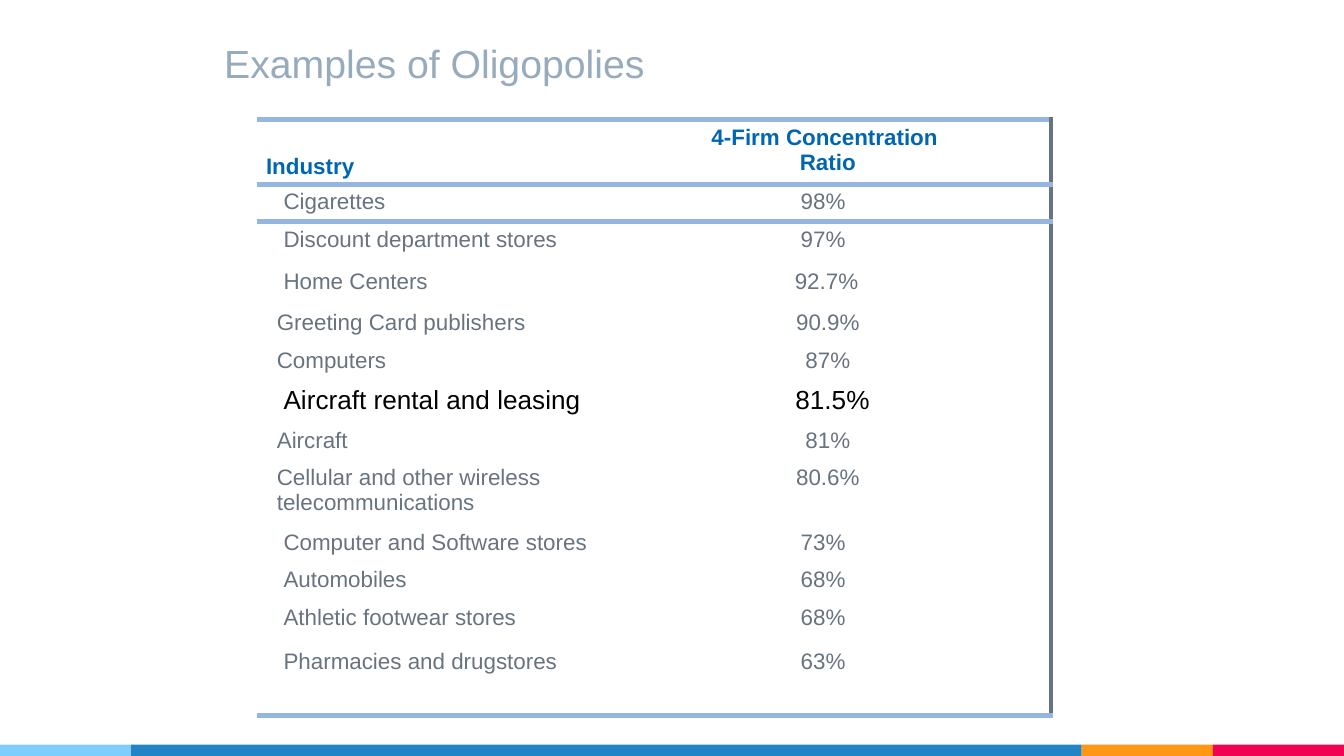
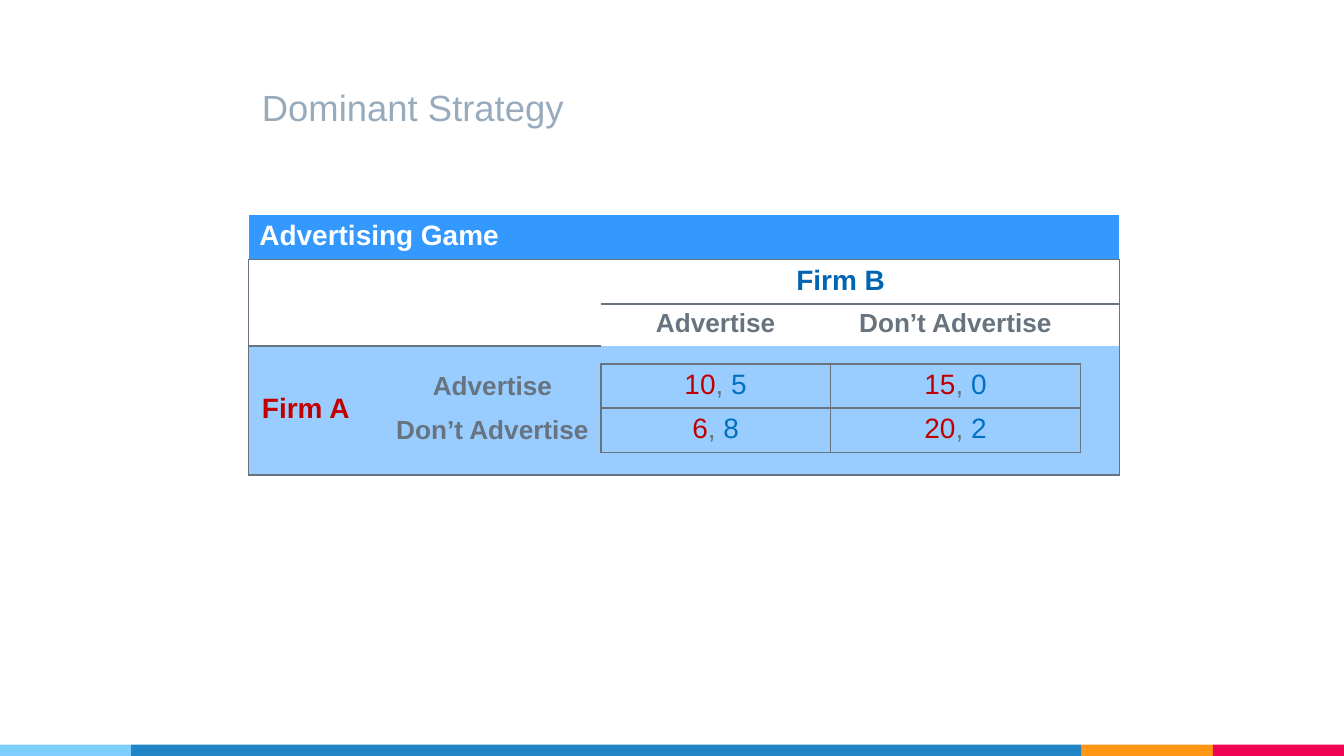
from dataclasses import dataclass, field
from itertools import accumulate, product
from typing import NamedTuple

from lxml.etree import SubElement
from pptx import Presentation
from pptx.dml.color import RGBColor
from pptx.enum.shapes import MSO_SHAPE
from pptx.enum.text import MSO_ANCHOR, PP_ALIGN
from pptx.oxml.ns import qn
from pptx.util import Inches, Pt

# Square grid: 100 columns across a 16:9 slide
WIDTH = Inches(10)
HEIGHT = int(WIDTH * 9 / 16)
COLS = 100
ROWS = COLS * 9 / 16
NO_STYLE = "{2D5ABB26-0587-4C30-8999-92F81FD0307C}"


@dataclass(frozen=True)
class Theme:
    font: str = "Arial"
    title: str = "97ABBC"
    text: str = "677480"
    black: str = "000000"
    white: str = "FFFFFF"
    heading: str = "0066B3"
    rule: str = "95B6DF"
    firm_a: str = "C00000"
    firm_b: str = "0070C0"
    banner: str = "3399FF"
    panel: str = "99CCFF"
    sky: str = "7ECEFD"
    blue: str = "2185C5"
    orange: str = "FF9715"
    red: str = "F20253"
    title_large: float = 21
    title_small: float = 19.5
    body: float = 12
    label: float = 14
    game: float = 15
    spacer: float = 4


THEME = Theme()


class Box(NamedTuple):
    col: float
    row: float
    cols: float
    rows: float


class Run(NamedTuple):
    text: str
    size: float = THEME.body
    color: str = THEME.text
    bold: bool = False


class Line(NamedTuple):
    color: str
    width: float


class Industry(NamedTuple):
    name: str
    ratio: str
    rows: float = 2.8
    indent: float = 2.0
    pad: tuple[float, float] = (5.3, 6.0)
    size: float = THEME.body
    color: str = THEME.text


@dataclass
class Cell:
    runs: list[Run] = field(default_factory=list)
    align: PP_ALIGN = PP_ALIGN.LEFT
    anchor: MSO_ANCHOR = MSO_ANCHOR.TOP
    left: float = 0.8
    right: float = 0.8
    fill: str = ""


class Grid:
    """Cells, merges and borders of one table, addressed by (row, column)."""

    def __init__(self, box: Box, widths: list[float], heights: list[float]) -> None:
        self.box, self.widths, self.heights = box, widths, heights
        self.cells: dict[tuple[int, int], Cell] = {}
        self.merges: list[tuple[tuple[int, int], tuple[int, int]]] = []
        self.borders: dict[tuple[int, int], dict[str, Line]] = {}

    def outline(self, first: tuple[int, int], last: tuple[int, int], line: Line,
                sides: str = "LRTB") -> None:
        (top, left), (bottom, right) = first, last
        for r, c in product(range(top, bottom + 1), range(left, right + 1)):
            edges = {"L": c == left, "R": c == right, "T": r == top, "B": r == bottom}
            for side in sides:
                if edges[side]:
                    self.borders.setdefault((r, c), {})[side] = line


def u(units: float) -> int:
    return int(WIDTH * units / COLS)


def rgb(color: str) -> RGBColor:
    return RGBColor.from_string(color)


def set_all(target: object, values: dict[str, object]) -> None:
    for name, value in values.items():
        setattr(target, name, value)


def add_runs(p, runs: list[Run]) -> None:
    for run in runs:
        for i, text in enumerate(run.text.split("\n")):
            if i:
                p.add_line_break()
                SubElement(p._p[-1], qn("a:rPr"), sz=str(int(run.size * 100)))
            r = p.add_run()
            r.text = text
            set_all(r.font, {"name": THEME.font, "size": Pt(run.size), "bold": run.bold})
            r.font.color.rgb = rgb(run.color)


# Shared slide parts
def add_band(s) -> None:
    shares = [(4, THEME.sky), (29, THEME.blue), (4, THEME.orange), (4, THEME.red)]
    total = sum(share for share, _ in shares)
    starts = accumulate((share for share, _ in shares), initial=0)
    for start, (share, color) in zip(starts, shares):
        sp = s.shapes.add_shape(MSO_SHAPE.RECTANGLE, WIDTH * start // total,
                                u(ROWS - 0.85), WIDTH * share // total, u(0.85))
        sp.shadow.inherit = False
        sp.fill.solid()
        sp.fill.fore_color.rgb = rgb(color)
        sp.line.fill.background()


def add_title(s, text: str, box: Box, size: float) -> None:
    tf = s.shapes.add_textbox(*map(u, box)).text_frame
    set_all(tf, {"word_wrap": True, "vertical_anchor": MSO_ANCHOR.BOTTOM,
                 "margin_left": u(1), "margin_right": u(1),
                 "margin_top": u(1), "margin_bottom": u(1)})
    add_runs(tf.paragraphs[0], [Run(text, size, THEME.title)])


def new_slide(prs, title: str, box: Box, size: float):
    s = prs.slides.add_slide(prs.slide_layouts[6])
    add_band(s)
    add_title(s, title, box, size)
    return s


# Table drawing
def add_borders(cell, lines: dict[str, Line]) -> None:
    tc_pr = cell._tc.get_or_add_tcPr()
    for side in "LRTB":
        if side in lines:
            line = lines[side]
            ln = SubElement(tc_pr, qn(f"a:ln{side}"), w=str(Pt(line.width)))
            solid = SubElement(ln, qn("a:solidFill"))
            SubElement(solid, qn("a:srgbClr"), val=line.color)


def fill_cell(cell, spec: Cell) -> None:
    upright = u(0.4) if spec.runs else 0
    set_all(cell, {"margin_left": u(spec.left), "margin_right": u(spec.right),
                   "margin_top": upright, "margin_bottom": upright,
                   "vertical_anchor": spec.anchor})
    if spec.fill:
        cell.fill.solid()
        cell.fill.fore_color.rgb = rgb(spec.fill)
    else:
        cell.fill.background()
    p = cell.text_frame.paragraphs[0]
    p.alignment = spec.align
    add_runs(p, spec.runs)
    if not spec.runs:
        SubElement(p._p, qn("a:endParaRPr"), sz=str(int(THEME.spacer * 100)))


def add_grid(s, grid: Grid) -> None:
    n_rows, n_cols = len(grid.heights), len(grid.widths)
    table = s.shapes.add_table(n_rows, n_cols, *map(u, grid.box)).table
    set_all(table, {"first_row": False, "horz_banding": False})
    table._tbl.tblPr.find(qn("a:tableStyleId")).text = NO_STYLE
    for column, width in zip(table.columns, grid.widths):
        column.width = u(width)
    for row, height in zip(table.rows, grid.heights):
        row.height = u(height)
    for at in product(range(n_rows), range(n_cols)):
        cell = table.cell(*at)
        add_borders(cell, grid.borders.get(at, {}))
        fill_cell(cell, grid.cells.get(at, Cell()))
    for first, last in grid.merges:
        table.cell(*first).merge(table.cell(*last))


# Slide 1: concentration ratios
PLAIN = {"indent": 1.5, "pad": (0.7, 0.7)}
INDUSTRIES = [
    Industry("Cigarettes", "98%"),
    Industry("Discount department stores", "97%", 3.1),
    Industry("Home Centers", "92.7%", 3.1, pad=(5.8, 6.0)),
    Industry("Greeting Card publishers", "90.9%", **PLAIN),
    Industry("Computers", "87%", **PLAIN),
    Industry("Aircraft rental and leasing", "81.5%", 3.0, pad=(6.7, 6.0),
             size=THEME.label, color=THEME.black),
    Industry("Aircraft", "81%", **PLAIN),
    Industry("Cellular and other wireless telecommunications", "80.6%", 4.8, **PLAIN),
    Industry("Computer and Software stores", "73%"),
    Industry("Automobiles", "68%"),
    Industry("Athletic footwear stores", "68%", 3.3),
    Industry("Pharmacies and drugstores", "63%", 5.3),
]


def oligopolies(prs) -> None:
    s = new_slide(prs, "Examples of Oligopolies", Box(15.7, 2.1, 71.8, 5.3),
                  THEME.title_large)
    heights = [2.8, 4.8] + [item.rows for item in INDUSTRIES]
    grid = Grid(Box(19.1, 6.1, 59.1, sum(heights)), [25.9, 33.2], heights)
    grid.merges.append(((0, 0), (0, 1)))
    head = {"size": THEME.body, "color": THEME.heading, "bold": True}
    grid.cells[1, 0] = Cell([Run("Industry", **head)], anchor=MSO_ANCHOR.BOTTOM,
                            left=0.7, right=0.7)
    grid.cells[1, 1] = Cell([Run("4-Firm Concentration \nRatio", **head)],
                            PP_ALIGN.CENTER, left=0.7, right=0.7)
    for row, item in enumerate(INDUSTRIES, 2):
        grid.cells[row, 0] = Cell([Run(item.name, item.size, item.color)],
                                  left=item.indent, right=0.7)
        left, right = item.pad
        grid.cells[row, 1] = Cell([Run(item.ratio, item.size, item.color)],
                                  PP_ALIGN.CENTER, left=left, right=right)
    last, rule = len(heights) - 1, Line(THEME.rule, 3)
    grid.outline((0, 0), (0, 1), rule, "B")
    grid.outline((1, 0), (1, 1), rule, "TB")
    grid.outline((2, 0), (last, 1), rule, "TB")
    grid.outline((1, 0), (last, 1), Line(THEME.text, 2.25), "R")
    add_grid(s, grid)


# Slide 2: payoff matrix
CHOICES = ["Advertise", "Don’t Advertise"]
PAYOFFS = [[("10", "5"), ("15", "0")], [("6", "8"), ("20", "2")]]


def dominant_strategy(prs) -> None:
    s = new_slide(prs, "Dominant Strategy", Box(18.5, 6.6, 63.5, 4), THEME.title_small)
    widths = [10.1, 16.1, 17.1, 18.6, 2.9]
    heights = [3.25, 3.3, 3.0, 1.35, 3.25, 3.25, 1.65]
    grid = Grid(Box(18.5, 16, sum(widths), sum(heights)), widths, heights)
    center, middle = PP_ALIGN.CENTER, MSO_ANCHOR.MIDDLE
    line = Line(THEME.text, 1)
    for at in product(range(3, 7), range(5)):
        grid.cells[at] = Cell(fill=THEME.panel)
    grid.cells[0, 0] = Cell([Run("Advertising Game", THEME.game, THEME.white, True)],
                            fill=THEME.banner)
    grid.cells[1, 2] = Cell([Run("Firm B", THEME.game, THEME.heading, True)], center)
    grid.cells[4, 0] = Cell([Run("Firm A", THEME.game, THEME.firm_a, True)], center,
                            middle, left=0.6, right=2.2, fill=THEME.panel)
    grid.merges += [((0, 0), (0, 4)), ((1, 0), (2, 0)), ((1, 1), (2, 1)),
                    ((1, 2), (1, 3)), ((4, 0), (5, 0))]
    grid.outline((1, 0), (6, 4), line)
    for i, choice in enumerate(CHOICES):
        label = [Run(choice, THEME.label, THEME.text, True)]
        grid.cells[2, 2 + i] = Cell(label, center)
        grid.cells[4 + i, 1] = Cell(label, center, middle, fill=THEME.panel)
        for j, (a, b) in enumerate(PAYOFFS[i]):
            at = (4 + i, 2 + j)
            runs = [Run(a, THEME.game, THEME.firm_a), Run(", ", THEME.game),
                    Run(b, THEME.game, THEME.firm_b)]
            grid.cells[at] = Cell(runs, center, fill=THEME.panel)
            grid.outline(at, at, line)
    add_grid(s, grid)


def main() -> None:
    prs = Presentation()
    set_all(prs, {"slide_width": WIDTH, "slide_height": HEIGHT})
    oligopolies(prs)
    dominant_strategy(prs)
    prs.save("out.pptx")


if __name__ == "__main__":
    main()
